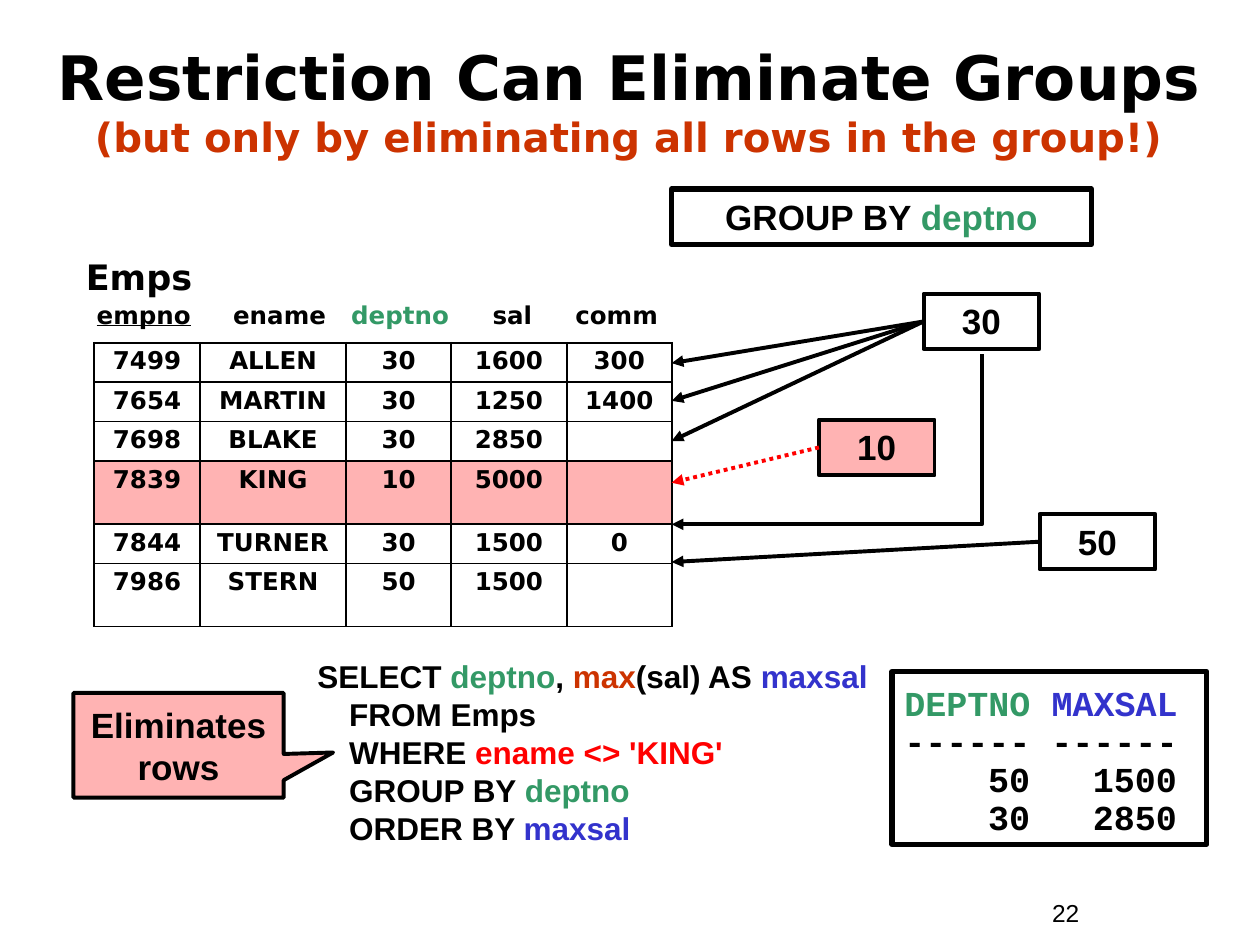
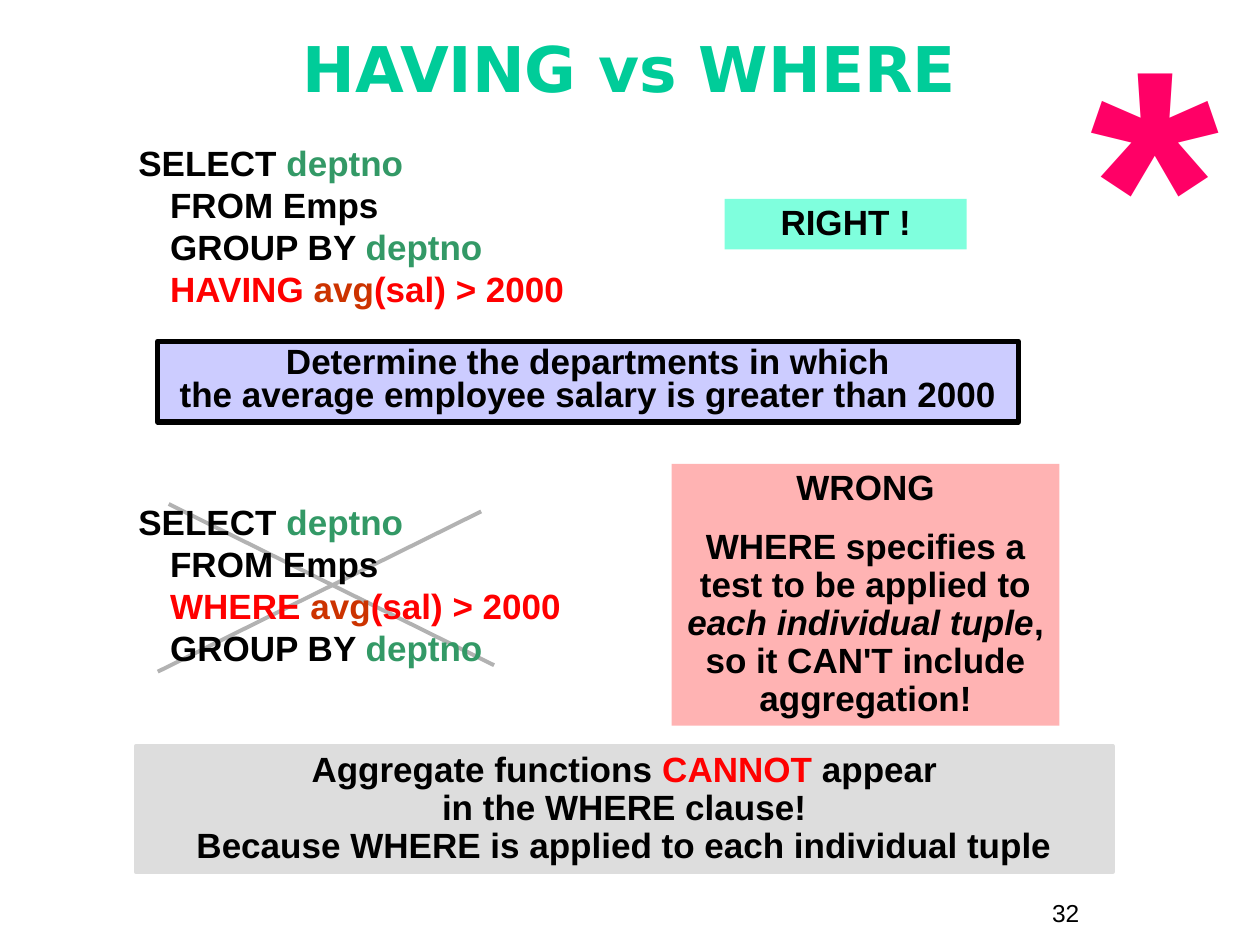
from lxml import etree
from pptx import Presentation
from pptx.dml.color import RGBColor
from pptx.enum.dml import MSO_LINE
from pptx.enum.shapes import MSO_CONNECTOR, MSO_SHAPE
from pptx.enum.text import MSO_ANCHOR, PP_ALIGN
from pptx.oxml.ns import qn
from pptx.util import Cm, Pt

COLORS = {
    "ink": "000000", "dept": "339966", "rust": "CC3300", "alias": "3333CC",
    "red": "FF0000", "pink": "FFB3B3", "teal": "00CC99", "mint": "7FFFDD",
    "lilac": "CCCCFF", "gray": "DDDDDD", "strike": "B2B2B2", "star": "FF0066",
}
SANS, TITLE, MONO = "Arial", "DejaVu Sans", "Courier New"
LEFT, CENTER = PP_ALIGN.LEFT, PP_ALIGN.CENTER
TOP, MIDDLE = MSO_ANCHOR.TOP, MSO_ANCHOR.MIDDLE
STRAIGHT, ELBOW = MSO_CONNECTOR.STRAIGHT, MSO_CONNECTOR.ELBOW
RECTANGLE, CALLOUT = MSO_SHAPE.RECTANGLE, MSO_SHAPE.RECTANGULAR_CALLOUT
DOTTED = MSO_LINE.ROUND_DOT
LEFT_SIDE = 1

ROWS = [
    ("7499", "ALLEN", "30", "1600", "300"),
    ("7654", "MARTIN", "30", "1250", "1400"),
    ("7698", "BLAKE", "30", "2850", ""),
    ("7839", "KING", "10", "5000", ""),
    ("7844", "TURNER", "30", "1500", "0"),
    ("7986", "STERN", "50", "1500", ""),
]
ROW_HEIGHTS = [0.79, 0.79, 0.79, 1.27, 0.79, 1.27]
COLUMN_WIDTHS = [2.13, 2.95, 2.11, 2.34, 2.11]


def rgb(name):
    """Return the named colour."""
    return RGBColor.from_string(COLORS[name])


def add_tabs(para, stops, side):
    """Give a paragraph tab stops at the given distances in cm."""
    tabs = etree.SubElement(para._p.get_or_add_pPr(), qn("a:tabLst"))
    for stop in stops:
        etree.SubElement(tabs, qn("a:tab"), pos=str(Cm(stop)), algn=side)


def write(para, spans, size=20, font=SANS, bold=True, align=LEFT, spacing=None):
    """Fill a paragraph with (text, colour[, size]) spans, breaking at newlines."""
    para.alignment = align
    para.line_spacing = spacing
    for text, color, *own_size in spans:
        for index, line in enumerate(text.split("\n")):
            if index:
                para.add_line_break()
            if line:
                span = para.add_run()
                span.text = line
                span.font.size = Pt(own_size[0] if own_size else size)
                span.font.name = font
                span.font.bold = bold
                span.font.color.rgb = rgb(color)


def add_text(page, box, spans, anchor=TOP, **style):
    """Add a wrapping text box and return its shape."""
    shape = page.shapes.add_textbox(*map(Cm, box))
    shape.text_frame.word_wrap = True
    shape.text_frame.vertical_anchor = anchor
    write(shape.text_frame.paragraphs[0], spans, **style)
    return shape


def add_box(page, box, spans, fill=None, line=None, width=2.25, kind=RECTANGLE,
            anchor=TOP, align=CENTER, **style):
    """Add a filled or outlined shape with text."""
    shape = page.shapes.add_shape(kind, *map(Cm, box))
    shape.shadow.inherit = False
    if fill:
        shape.fill.solid()
        shape.fill.fore_color.rgb = rgb(fill)
    else:
        shape.fill.background()
    if line:
        shape.line.color.rgb = rgb(line)
        shape.line.width = Pt(width)
    else:
        shape.line.fill.background()
    shape.text_frame.word_wrap = True
    shape.text_frame.vertical_anchor = anchor
    write(shape.text_frame.paragraphs[0], spans, align=align, **style)
    return shape


def add_line(page, start, end, color="ink", kind=STRAIGHT, arrow=True):
    """Add a connector, with an arrowhead at its end if wanted."""
    line = page.shapes.add_connector(kind, *map(Cm, (*start, *end)))
    line.line.color.rgb = rgb(color)
    line.line.width = Pt(2.25)
    if arrow:
        etree.SubElement(line.line._get_or_add_ln(), qn("a:tailEnd"), type="triangle")
    etree.SubElement(line._element.spPr, qn("a:effectLst"))
    return line


def add_corner_arrow(page, start, end):
    """Add an arrow that runs down from start and then left to end."""
    drop, run = end[1] - start[1], start[0] - end[0]
    left = (start[0] + end[0] - drop) / 2
    top = (start[1] + end[1] - run) / 2
    arrow = add_line(page, (left, top), (left + drop, top + run), kind=ELBOW)
    properties = arrow._element.spPr
    properties.find(qn("a:xfrm")).set("rot", "5400000")
    properties.find(qn("a:prstGeom")).set("prst", "bentConnector2")


def add_frame(page, number, title, top):
    """Add the title and the page number."""
    add_text(page, (0.84, top, 23.7, 2.34), title, MIDDLE, font=TITLE, align=CENTER)
    add_text(page, (20.96, 17.98, 2.33, 0.86), [(number, "ink")], size=14, bold=False)


def add_query(page, box, spans, size=20):
    """Add an SQL statement whose later lines are indented."""
    para = add_text(page, box, spans, size=size).text_frame.paragraphs[0]
    layout = para._p.get_or_add_pPr()
    layout.set("marL", str(Cm(0.64)))
    layout.set("indent", str(-Cm(0.64)))


def style_cell(cell, text, fill):
    """Write one table cell with thin black borders."""
    properties = cell._tc.get_or_add_tcPr()
    for side in ("lnL", "lnR", "lnT", "lnB"):
        border = etree.SubElement(properties, qn(f"a:{side}"), w=str(Pt(1.08)))
        solid = etree.SubElement(border, qn("a:solidFill"))
        etree.SubElement(solid, qn("a:srgbClr"), val=COLORS["ink"])
    if fill:
        cell.fill.solid()
        cell.fill.fore_color.rgb = rgb(fill)
    else:
        cell.fill.background()
    cell.margin_top = cell.margin_bottom = Cm(0.13 if text else 0)
    write(cell.text_frame.paragraphs[0], [(text, "ink")], size=14, font=TITLE,
          align=CENTER, spacing=0.9)


def add_employees(page, left, top):
    """Add the Emps label, the column names and the table."""
    header = add_text(page, (left + 0.22, top + 0.89, 12.07, 0.86), [])
    para = header.text_frame.paragraphs[0]
    add_tabs(para, [2.75, 5.13, 7.98, 9.65], "l")
    write(para, [("empno", "ink"), ("\tename\t", "ink"), ("deptno", "dept"),
                 ("\tsal\tcomm", "ink")], size=14, font=TITLE)
    para.runs[0].font.underline = True

    frame = page.shapes.add_table(
        len(ROWS), len(COLUMN_WIDTHS), Cm(left + 0.42), Cm(top + 1.88),
        Cm(sum(COLUMN_WIDTHS)), Cm(sum(ROW_HEIGHTS)))
    table = frame.table
    table.first_row = table.horz_banding = False
    for column, width in zip(table.columns, COLUMN_WIDTHS):
        column.width = Cm(width)
    for row, height, values in zip(table.rows, ROW_HEIGHTS, ROWS):
        row.height = Cm(height)
        fill = "pink" if "KING" in values else None
        for cell, text in zip(row.cells, values):
            style_cell(cell, text, fill)
    add_text(page, (left, top, 5.92, 1.12), [("Emps", "ink")], font=TITLE)


def add_groups(page, left, top):
    """Add the GROUP BY banner and the groups with arrows to their rows."""
    groups = [
        ("10", 2.97, 4.65, "pink", "red", [5.92]),
        ("50", 7.42, 6.55, None, "ink", [7.52]),
        ("30", 5.08, 2.11, None, "ink", [3.51, 4.27, 5.08]),
    ]
    for name, x, y, fill, color, targets in groups:
        group = add_box(page, (left + x, top + y, 2.33, 1.12), [(name, "ink")],
                        fill, "ink")
        for target in targets:
            arrow = add_line(page, (left + x, top + y + 0.56), (left, top + target), color)
            arrow.begin_connect(group, LEFT_SIDE)
            if color == "red":
                arrow.line.dash_style = DOTTED
    add_corner_arrow(page, (left + 6.25, top + 3.33), (left, top + 6.76))
    add_box(page, (left, top, 8.46, 1.12), [("GROUP BY ", "ink"), ("deptno", "dept")],
            line="ink", width=3)


def add_result(page, box):
    """Add the query result with right-aligned columns."""
    lines = [
        [("DEPTNO ", "dept"), ("MAXSAL", "alias")],
        [("------ ------", "ink")],
        [("\t50\t1500", "ink")],
        [("\t30\t2850", "ink")],
    ]
    frame = add_box(page, box, [], line="ink", width=3).text_frame
    frame.margin_top = Cm(0.3)
    for index, spans in enumerate(lines):
        para = frame.add_paragraph() if index else frame.paragraphs[0]
        add_tabs(para, [2.54, 5.5], "r")
        write(para, spans, font=MONO, spacing=0.9)


def build_restriction(page):
    """Build the slide on eliminating groups."""
    add_frame(page, "22", [
        ("Restriction Can Eliminate Groups\n", "ink", 35),
        ("(but only by eliminating all rows in the group!)", "rust", 23)], 0.84)
    add_employees(page, 1.48, 5.03)
    add_groups(page, 13.54, 3.81)
    add_query(page, (6.15, 13.13, 12.27, 4.83), [
        ("SELECT ", "ink"), ("deptno", "dept"), (",", "ink"), (" max", "rust"),
        ("(sal) AS ", "ink"), ("maxsal\n", "alias"), ("FROM Emps\nWHERE ", "ink"),
        ("ename <> 'KING'\n", "red"), ("GROUP BY ", "ink"), ("deptno\n", "dept"),
        ("ORDER BY ", "ink"), ("maxsal", "alias")], size=18)
    add_result(page, (17.98, 13.54, 6.35, 3.48))
    callout = add_box(page, (1.48, 13.97, 4.24, 2.11), [("Eliminates\nrows", "ink")],
                      "pink", "ink", kind=CALLOUT, anchor=MIDDLE)
    callout.adjustments[0] = 0.735
    callout.adjustments[1] = 0.069


def add_wrong_note(page, box):
    """Add the note on why the WHERE query fails."""
    frame = add_box(page, box, [("WRONG", "ink")], "pink", spacing=0.9).text_frame
    para = frame.add_paragraph()
    para.space_before = Pt(12.5)
    write(para, [("WHERE specifies a test to be applied to ", "ink"),
                 ("each individual tuple", "ink"),
                 (", so it CAN'T include aggregation!", "ink")],
          align=CENTER, spacing=0.9)
    para.runs[1].font.italic = True


def build_having(page):
    """Build the slide comparing HAVING and WHERE."""
    select = [("SELECT ", "ink"), ("deptno\n", "dept"), ("FROM Emps\n", "ink")]
    group = [("GROUP BY ", "ink"), ("deptno", "dept")]
    test = [("avg", "rust"), ("(sal) > 2000", "red")]
    line_end = [("\n", "ink")]
    add_line(page, (3.18, 13.54), (9.7, 10.31), "strike", arrow=False)
    add_line(page, (3.4, 10.16), (9.96, 13.41), "strike", arrow=False)
    add_frame(page, "32", [("HAVING vs WHERE", "teal", 36)], 0.18)
    add_query(page, (2.54, 2.72, 13.77, 3.66),
              select + group + line_end + [("HAVING ", "red")] + test)
    add_box(page, (14.61, 4.01, 4.88, 1.02), [("RIGHT !", "ink")], "mint", spacing=0.9)
    add_query(page, (2.54, 9.96, 13.77, 3.66),
              select + [("WHERE ", "red")] + test + line_end + group)
    add_box(page, (2.74, 15.04, 19.69, 2.54), [
        ("Aggregate functions ", "ink"), ("CANNOT", "red"),
        (" appear\nin the WHERE clause!\n"
         "Because WHERE is applied to each individual tuple", "ink")],
        "gray", "gray", spacing=0.9)
    add_text(page, (21.59, 0.2, 3.38, 7.47), [("*", "star")], size=189,
             align=CENTER, spacing=0.9)
    add_wrong_note(page, (13.54, 9.35, 7.82, 5.28))
    add_box(page, (3.18, 6.88, 17.35, 1.63), [
        ("Determine the departments in which\n"
         "the average employee salary is greater than 2000", "ink")],
        "lilac", "ink", 3, spacing=0.8)


def main():
    """Build and save the deck."""
    deck = Presentation()
    deck.slide_width, deck.slide_height = Cm(25.4), Cm(19.05)
    for build in (build_restriction, build_having):
        build(deck.slides.add_slide(deck.slide_layouts[6]))
    deck.save("out.pptx")


if __name__ == "__main__":
    main()
